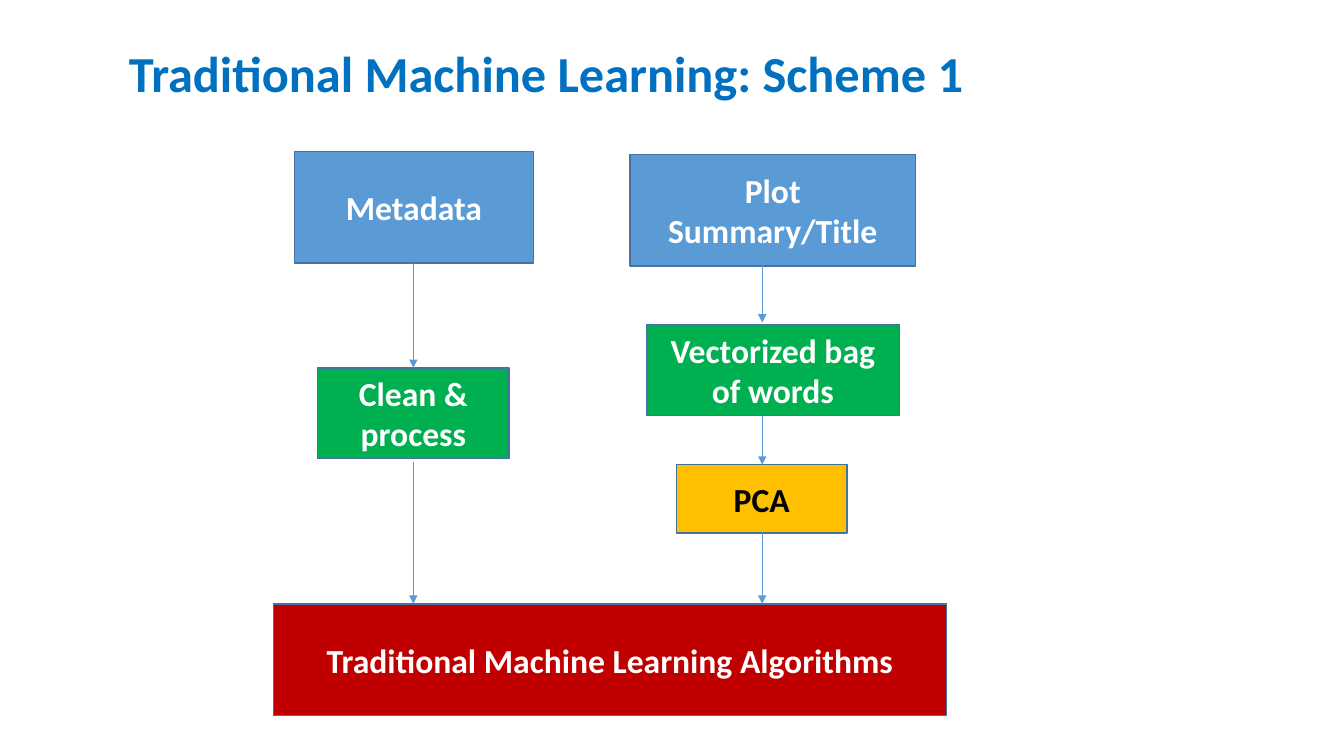
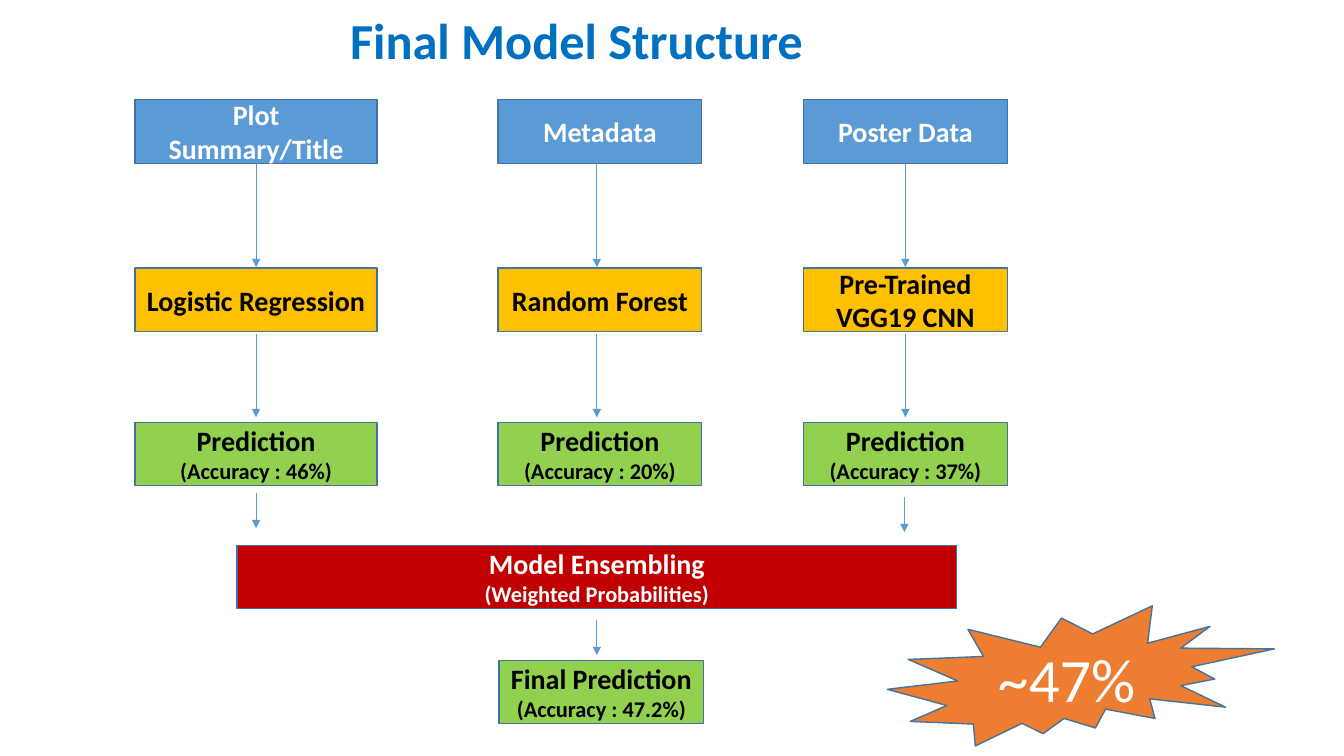
from lxml.etree import SubElement
from pptx import Presentation
from pptx.dml.color import RGBColor
from pptx.enum.shapes import MSO_CONNECTOR, MSO_SHAPE
from pptx.enum.text import MSO_ANCHOR, PP_ALIGN
from pptx.oxml.ns import qn
from pptx.util import Inches, Pt

FONT = "Calibri"
WHITE, BLACK = "FFFFFF", "000000"
TITLE, OUTLINE, BLUE = "0070C0", "43739E", "5B9BD5"
GREEN, LIME, AMBER, RED, ORANGE = "00B050", "92D050", "FFC000", "C00000", "ED7D31"


def rgb(value):
    """Return the colour for a hex string."""
    return RGBColor.from_string(value)


def cell(count):
    """Return the length of a number of grid cells, ten to the inch."""
    return Inches(count / 10)


def write(sp, text, size=24, color=WHITE, bold=True, note_size=16,
          anchor=MSO_ANCHOR.MIDDLE, spacing=None):
    """Write centred lines into a shape, the lines after the first as notes."""
    tf = sp.text_frame
    tf.word_wrap = True
    tf.vertical_anchor = anchor
    for i, line in enumerate(text.split("\n")):
        p = tf.add_paragraph() if i else tf.paragraphs[0]
        p.alignment = PP_ALIGN.CENTER
        p.line_spacing = spacing
        r = p.add_run()
        r.text = line
        r.font.name = FONT
        r.font.size = Pt(note_size if i else size)
        r.font.bold = bold
        r.font.color.rgb = rgb(color)


class Deck:
    """Hold the presentation, its style and the current slide."""

    def __init__(self):
        """Start a widescreen presentation."""
        self.prs = Presentation()
        self.prs.slide_width = Inches(13.33)
        self.prs.slide_height = Inches(7.5)

    def slide(self, title, left, top):
        """Add a blank slide with a title centred in a wide box."""
        self.s = self.prs.slides.add_slide(self.prs.slide_layouts[6])
        sp = self.s.shapes.add_textbox(cell(left), cell(top), cell(100), cell(18.1))
        write(sp, title, size=36, color=TITLE, anchor=MSO_ANCHOR.TOP, spacing=0.9)

    def box(self, text, left, top, width, height, fill,
            kind=MSO_SHAPE.RECTANGLE, **style):
        """Add a filled, outlined shape with text."""
        sp = self.s.shapes.add_shape(kind, cell(left), cell(top), cell(width), cell(height))
        sp.shadow.inherit = False
        sp.fill.solid()
        sp.fill.fore_color.rgb = rgb(fill)
        sp.line.color.rgb = rgb(OUTLINE)
        sp.line.width = Pt(1)
        write(sp, text, **style)

    def arrow(self, x, top, bottom):
        """Add a thin arrow pointing down."""
        sp = self.s.shapes.add_connector(
            MSO_CONNECTOR.STRAIGHT, cell(x), cell(top), cell(x), cell(bottom))
        sp.line.color.rgb = rgb(BLUE)
        sp.line.width = Pt(0.5)
        SubElement(sp.line._get_or_add_ln(), qn("a:tailEnd"), type="triangle")
        SubElement(sp._element.spPr, qn("a:effectLst"))


def scheme_slide(deck):
    """Build the two-branch scheme of traditional machine learning."""
    deck.slide("Traditional Machine Learning: Scheme 1", 4.2, 4.4)
    deck.box("Metadata", 29.2, 15, 23.7, 11.1, BLUE)
    deck.box("Plot Summary/Title", 62.5, 15.3, 28.3, 11.1, BLUE)
    deck.box("Clean & process", 31.5, 36.5, 19, 9, GREEN)
    deck.box("Vectorized bag of words", 64.1, 32.2, 25.1, 9, GREEN)
    deck.box("PCA", 67.1, 46.1, 16.9, 6.8, AMBER, color=BLACK)
    deck.box("Traditional Machine Learning Algorithms", 27.1, 59.9, 66.8, 11.1, RED)
    branches = {41: [(26.1, 36.5), (45.8, 59.9)],
                75.6: [(23.5, 32), (41.3, 46.1), (52.9, 59.9)]}
    for x, spans in branches.items():
        for top, bottom in spans:
            deck.arrow(x, top, bottom)


def structure_slide(deck):
    """Build the three model columns that join in one ensemble."""
    deck.slide("Final Model Structure", 7.2, 1.1)
    rows = [(9.9, BLUE, WHITE), (26.6, AMBER, BLACK), (41.9, LIME, BLACK)]
    spans = [(16.2, 26.5), (33.1, 41.4)]
    columns = [
        (13.4, 24, 25.4, "Plot Summary/Title", "Logistic Regression", 46),
        (49.4, 20.2, 59.2, "Metadata", "Random Forest", 20),
        (79.7, 20.2, 89.8, "Poster Data", "Pre-Trained VGG19 CNN", 37),
    ]
    for left, width, x, source, model, accuracy in columns:
        texts = [source, model, f"Prediction\n(Accuracy : {accuracy}%)"]
        for text, (top, fill, color) in zip(texts, rows):
            deck.box(text, left, top, width, 6.3, fill, size=20, color=color)
        for top, bottom in spans:
            deck.arrow(x, top, bottom)
    deck.box("Model Ensembling\n(Weighted Probabilities)",
             23.5, 54.1, 71.4, 6.3, RED, size=20)
    deck.box("Final Prediction\n(Accuracy : 47.2%)",
             49.5, 65.5, 20.3, 6.3, LIME, size=20, color=BLACK)
    for x, top in [(25.4, 48.9), (89.7, 49.3), (59.2, 61.5)]:
        deck.arrow(x, top, top + 3.5)
    deck.box("~47%", 88, 60.1, 38.4, 13.9, ORANGE,
             kind=MSO_SHAPE.EXPLOSION2, size=44, bold=False)


def main():
    """Build and save the presentation."""
    deck = Deck()
    scheme_slide(deck)
    structure_slide(deck)
    deck.prs.save("out.pptx")


if __name__ == "__main__":
    main()
